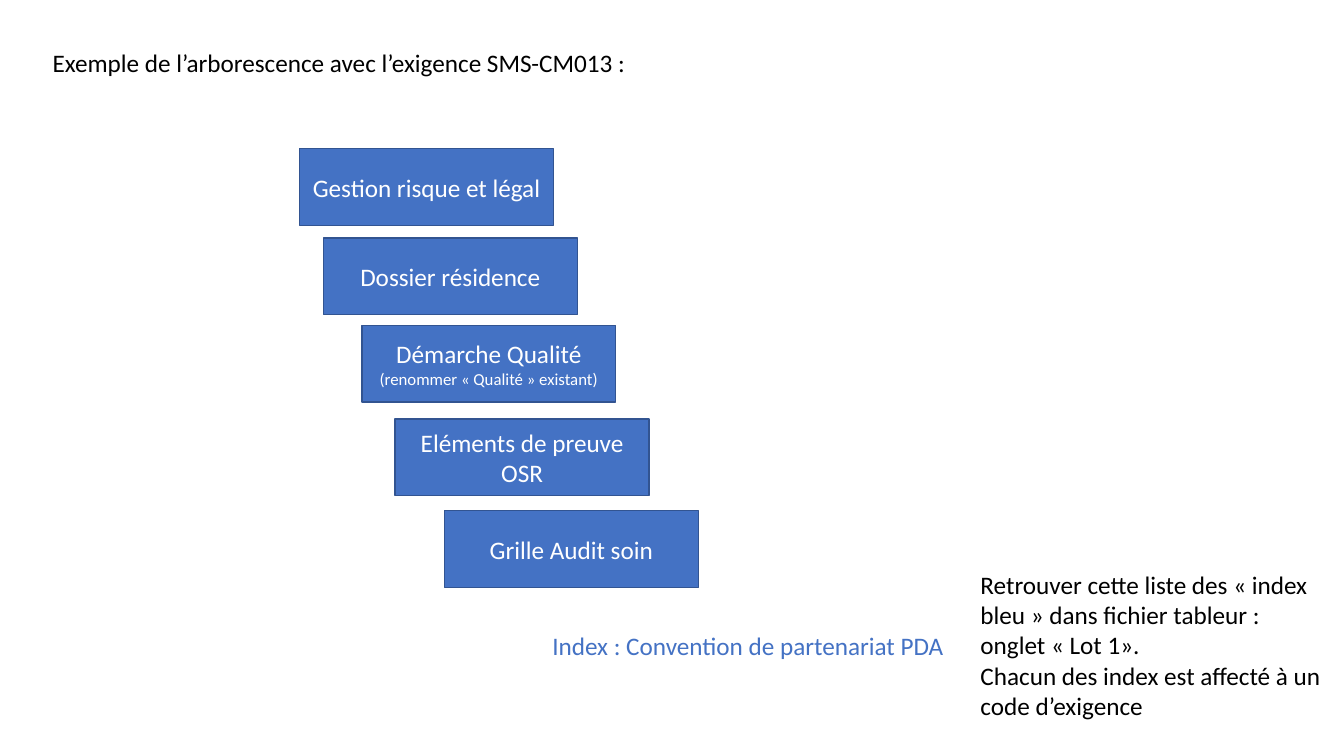
from dataclasses import dataclass

from pptx import Presentation
from pptx.dml.color import RGBColor
from pptx.enum.shapes import MSO_SHAPE
from pptx.enum.text import MSO_ANCHOR, MSO_AUTO_SIZE, PP_ALIGN
from pptx.text.text import TextFrame
from pptx.util import Cm, Pt


@dataclass(frozen=True)
class Theme:
    font: str = "Calibri"
    blue: RGBColor = RGBColor(0x44, 0x72, 0xC4)
    edge: RGBColor = RGBColor(0x32, 0x54, 0x91)
    black: RGBColor = RGBColor(0, 0, 0)
    white: RGBColor = RGBColor(255, 255, 255)
    text: int = 18
    small: int = 12


@dataclass(frozen=True)
class Box:
    left: float
    top: float
    width: float
    height: float

    def place(self) -> tuple:
        return Cm(self.left), Cm(self.top), Cm(self.width), Cm(self.height)


@dataclass(frozen=True)
class Level:
    left: float
    top: float
    name: str
    hint: str = ""


THEME = Theme()
STEP_W, STEP_H = 6.4, 1.93

LEVELS = [
    Level(7.55, 3.75, "Gestion risque et légal"),
    Level(8.15, 6, "Dossier résidence"),
    Level(9.12, 8.2, "Démarche Qualité", "(renommer « Qualité » existant)"),
    Level(9.96, 10.56, "Eléments de preuve OSR"),
    Level(11.2, 12.87, "Grille Audit soin"),
]
NOTE = [
    "Retrouver cette liste des « index bleu » dans fichier tableur :",
    "onglet « Lot 1».",
    "Chacun des index est affecté à un code d’exigence",
]


def write(frame: TextFrame, lines: list[tuple[str, int]], color: RGBColor,
          align: PP_ALIGN = PP_ALIGN.LEFT) -> None:
    for i, (words, size) in enumerate(lines):
        para = frame.add_paragraph() if i else frame.paragraphs[0]
        para.alignment = align
        run = para.add_run()
        run.text = words
        run.font.name = THEME.font
        run.font.size = Pt(size)
        run.font.color.rgb = color


def draw_level(slide, level: Level) -> None:
    box = Box(level.left, level.top, STEP_W, STEP_H)
    shape = slide.shapes.add_shape(MSO_SHAPE.RECTANGLE, *box.place())
    shape.shadow.inherit = False
    shape.fill.solid()
    shape.fill.fore_color.rgb = THEME.blue
    shape.line.color.rgb = THEME.edge
    shape.line.width = Pt(1)
    frame = shape.text_frame
    frame.word_wrap = True
    frame.vertical_anchor = MSO_ANCHOR.MIDDLE
    lines = [(level.name, THEME.text)]
    if level.hint:
        lines.append((level.hint, THEME.small))
    write(frame, lines, THEME.white, PP_ALIGN.CENTER)


def draw_text(slide, box: Box, lines: list[str], color: RGBColor, wrap: bool) -> None:
    frame = slide.shapes.add_textbox(*box.place()).text_frame
    frame.word_wrap = wrap
    frame.auto_size = MSO_AUTO_SIZE.SHAPE_TO_FIT_TEXT
    write(frame, [(line, THEME.text) for line in lines], color)


def draw_title(slide, box: Box, words: str) -> None:
    title = slide.shapes.title
    title.left, title.top, title.width, title.height = box.place()
    frame = title.text_frame
    frame.word_wrap = False
    frame.auto_size = MSO_AUTO_SIZE.SHAPE_TO_FIT_TEXT
    frame.vertical_anchor = MSO_ANCHOR.TOP
    write(frame, [(words, THEME.text)], THEME.black)


def main() -> None:
    deck = Presentation()
    deck.slide_width, deck.slide_height = Cm(33.87), Cm(19.05)
    slide = deck.slides.add_slide(deck.slide_layouts[5])

    # Heading
    draw_title(slide, Box(1.07, 1.07, 15.11, 1.03),
               "Exemple de l’arborescence avec l’exigence SMS-CM013 :")

    # Folder tree
    for level in LEVELS:
        draw_level(slide, level)

    # Index and note
    draw_text(slide, Box(13.67, 15.77, 10.64, 1.03),
              ["Index : Convention de partenariat PDA"], THEME.blue, False)
    draw_text(slide, Box(24.46, 14.22, 9.42, 4.11), NOTE, THEME.black, True)

    deck.save("out.pptx")


if __name__ == "__main__":
    main()
